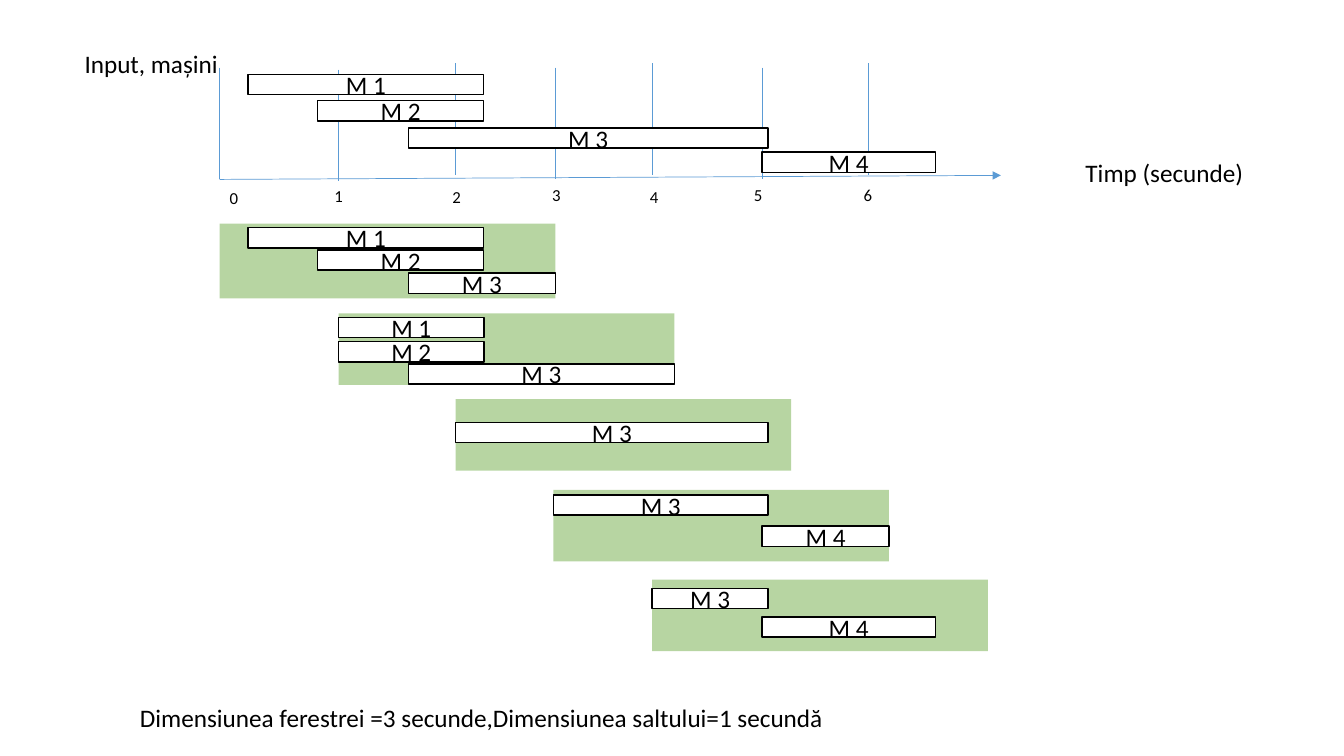
"""Sliding time windows over machine intervals, drawn as a timeline."""
from dataclasses import dataclass
from typing import NamedTuple

from lxml import etree
from pptx import Presentation
from pptx import util as u
from pptx.dml.color import RGBColor
from pptx.enum import shapes, text
from pptx.oxml.ns import qn


@dataclass(frozen=True)
class Theme:
    """Colours, type sizes and line widths."""
    font: str = "Calibri"
    ink: str = "000000"
    paper: str = "FFFFFF"
    axis: str = "5B9BD5"
    window: str = "70AD47"
    window_alpha: int = 50
    label_size: int = 18
    tick_size: int = 12
    axis_line: float = 0.5
    bar_line: float = 1


class Tick(NamedTuple):
    """A second on the axis: its column, line top and label corner."""
    column: float
    top: float
    label_column: float
    label_row: float


class Machine(NamedTuple):
    """The span of columns a machine covers, and its row on the timeline."""
    start: float
    end: float
    row: float


class Window(NamedTuple):
    """A window's corner and height, and the row of each machine in it."""
    column: float
    row: float
    height: float
    machine_rows: dict[str, float]


class Label(NamedTuple):
    """A line of text and the frame it sits in."""
    words: str
    column: float
    row: float
    width: float
    height: float


THEME = Theme()
COLUMNS, ROWS = 133.33, 75
SLIDE_WIDTH, SLIDE_HEIGHT = u.Inches(13.33), u.Inches(7.5)
TICK_HEIGHT, BAR_HEIGHT, WINDOW_WIDTH = 11.1, 2, 33.3
TICK_LABEL_WIDTH, TICK_LABEL_HEIGHT = 2.7, 3
AXIS_START, AXIS_END = (21.8, 17.8), (99.3, 17.4)

TICKS = [
    Tick(21.8, 6.7, 21.8, 18.1),
    Tick(33.6, 6.9, 32.2, 17.9),
    Tick(45.2, 6.3, 43.9, 18),
    Tick(55.1, 6.7, 53.8, 17.8),
    Tick(64.7, 6.3, 63.5, 18),
    Tick(75.6, 6.7, 73.8, 17.8),
    Tick(86.1, 6.3, 84.7, 17.8),
]
MACHINES = {
    "M 1": Machine(24.6, 48, 7.4),
    "M 2": Machine(31.5, 48, 10),
    "M 3": Machine(40.5, 76.2, 12.7),
    "M 4": Machine(75.6, 92.8, 15.1),
}
WINDOWS = [
    Window(21.8, 22.2, 7.4, {"M 1": 22.6, "M 2": 24.8, "M 3": 27.1}),
    Window(33.6, 31.1, 7.1, {"M 1": 31.5, "M 2": 33.9, "M 3": 36.1}),
    Window(45.2, 39.6, 7.1, {"M 3": 41.9}),
    Window(54.9, 48.6, 7.1, {"M 3": 49.1, "M 4": 52.2}),
    Window(64.7, 57.5, 7.1, {"M 3": 58.4, "M 4": 61.2}),
]
LABELS = [
    Label("Input, mașini", 7.4, 4.3, 15.4, 4),
    Label("Timp (secunde)", 106.7, 15.1, 17.9, 7.1),
    Label("Dimensiunea ferestrei =3 secunde,Dimensiunea saltului=1 secundă",
          12.9, 69.2, 71.2, 4),
]


def across(columns: float) -> u.Emu:
    """Turn grid columns into a length."""
    return u.Emu(round(SLIDE_WIDTH * columns / COLUMNS))


def down(rows: float) -> u.Emu:
    """Turn grid rows into a length."""
    return u.Emu(round(SLIDE_HEIGHT * rows / ROWS))


def colour(code: str) -> RGBColor:
    """Read a theme colour."""
    return RGBColor.from_string(code)


def write(frame, words: str, size: float) -> None:
    """Put one paragraph into a text frame."""
    para = frame.paragraphs[0]
    para.add_run().text = words
    para.font.name = THEME.font
    para.font.size = u.Pt(size)
    para.font.color.rgb = colour(THEME.ink)


def add_line(page, start: tuple, end: tuple, arrow: bool = False) -> None:
    """Draw an axis line, with an arrowhead at its end if wanted."""
    line = page.shapes.add_connector(
        shapes.MSO_CONNECTOR.STRAIGHT, across(start[0]), down(start[1]),
        across(end[0]), down(end[1]))
    line.line.color.rgb = colour(THEME.axis)
    line.line.width = u.Pt(THEME.axis_line)
    if arrow:
        etree.SubElement(line.line._get_or_add_ln(), qn("a:tailEnd"), type="triangle")
    etree.SubElement(line._element.spPr, qn("a:effectLst"))


def add_label(page, label: Label, size: float, wrap: bool = False) -> None:
    """Write a label in a text box."""
    box = page.shapes.add_textbox(across(label.column), down(label.row),
                                  across(label.width), down(label.height))
    box.text_frame.word_wrap = wrap
    write(box.text_frame, label.words, size)


def add_rectangle(page, column: float, row: float, width: float,
                  height: float, fill: str):
    """Draw a filled rectangle without shadow or outline."""
    box = page.shapes.add_shape(shapes.MSO_SHAPE.RECTANGLE, across(column),
                                down(row), across(width), down(height))
    box.shadow.inherit = False
    box.fill.solid()
    box.fill.fore_color.rgb = colour(fill)
    box.line.fill.background()
    return box


def add_bar(page, name: str, start: float, end: float, row: float) -> None:
    """Draw the bar of a machine with its name."""
    bar = add_rectangle(page, start, row, end - start, BAR_HEIGHT, THEME.paper)
    bar.line.color.rgb = colour(THEME.ink)
    bar.line.width = u.Pt(THEME.bar_line)
    bar.text_frame.vertical_anchor = text.MSO_ANCHOR.MIDDLE
    write(bar.text_frame, name, THEME.label_size)
    bar.text_frame.paragraphs[0].alignment = text.PP_ALIGN.CENTER


def add_timeline(page) -> None:
    """Draw the axis, its ticks and every machine in full."""
    add_line(page, AXIS_START, AXIS_END, arrow=True)
    for second, tick in enumerate(TICKS):
        add_line(page, (tick.column, tick.top), (tick.column, tick.top + TICK_HEIGHT))
        add_label(page, Label(str(second), tick.label_column, tick.label_row,
                              TICK_LABEL_WIDTH, TICK_LABEL_HEIGHT),
                  THEME.tick_size, wrap=True)
    for name, machine in MACHINES.items():
        add_bar(page, name, machine.start, machine.end, machine.row)


def add_window(page, window: Window) -> None:
    """Draw a translucent window and its machines, clipped to its sides."""
    pane = add_rectangle(page, window.column, window.row, WINDOW_WIDTH,
                         window.height, THEME.window)
    tint = pane._element.spPr.find(qn("a:solidFill"))[0]
    etree.SubElement(tint, qn("a:alpha"), val=str(THEME.window_alpha * 1000))
    for name, row in window.machine_rows.items():
        machine = MACHINES[name]
        add_bar(page, name, max(machine.start, window.column),
                min(machine.end, window.column + WINDOW_WIDTH), row)


def main() -> None:
    """Build the slide and save it."""
    deck = Presentation()
    deck.slide_width, deck.slide_height = SLIDE_WIDTH, SLIDE_HEIGHT
    page = deck.slides.add_slide(deck.slide_layouts[6])
    add_timeline(page)
    for label in LABELS:
        add_label(page, label, THEME.label_size)
    for window in WINDOWS:
        add_window(page, window)
    deck.save("out.pptx")


main()
